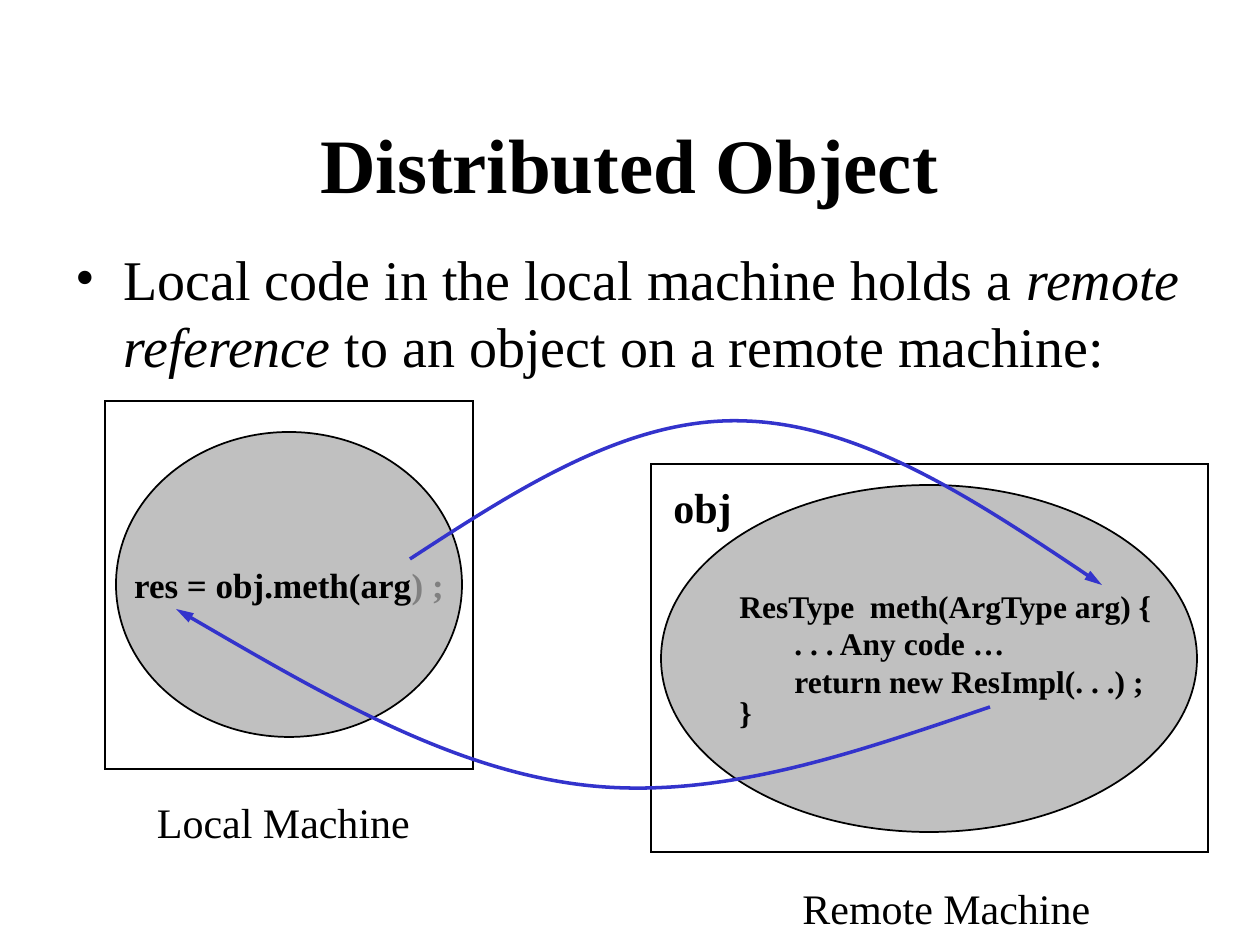
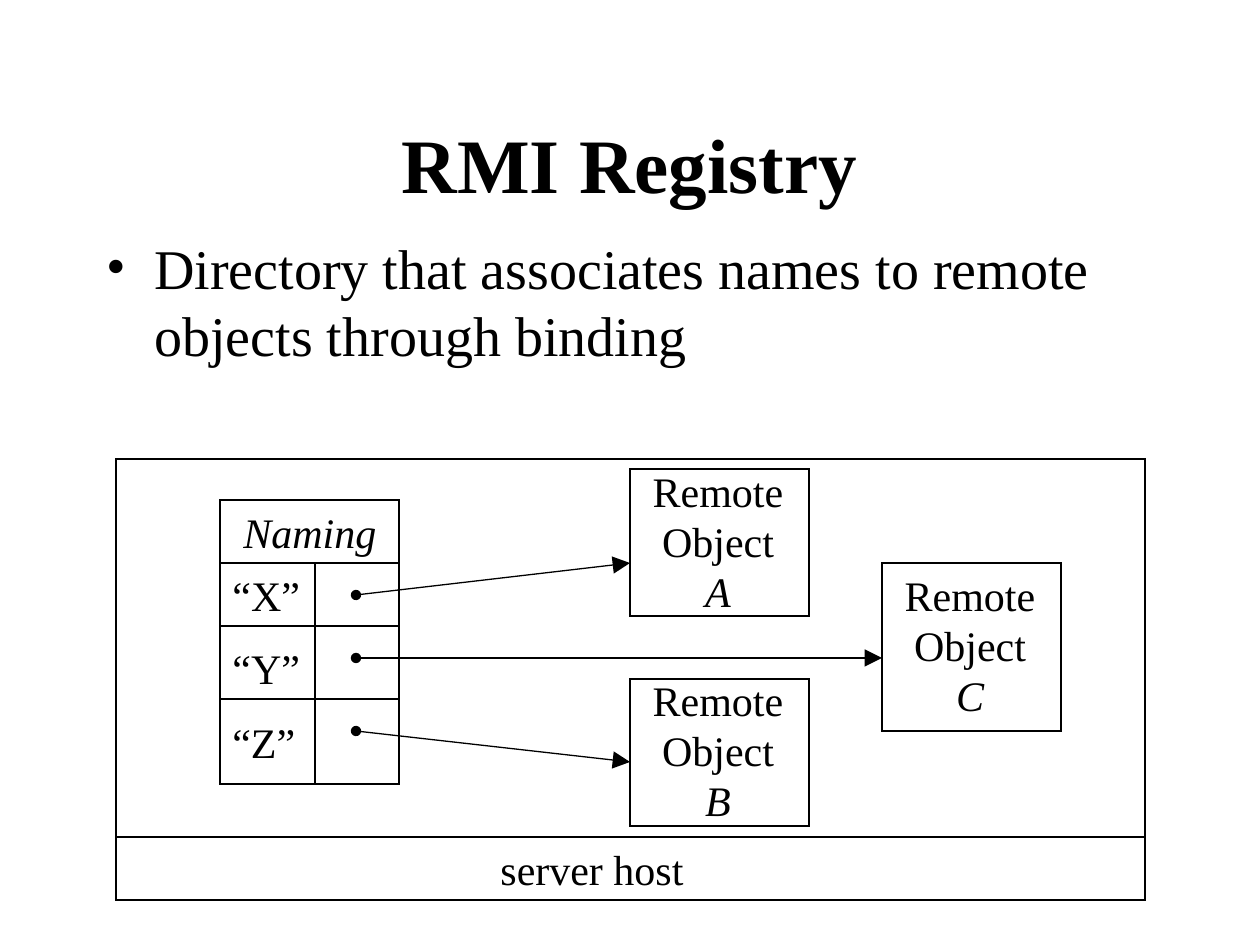
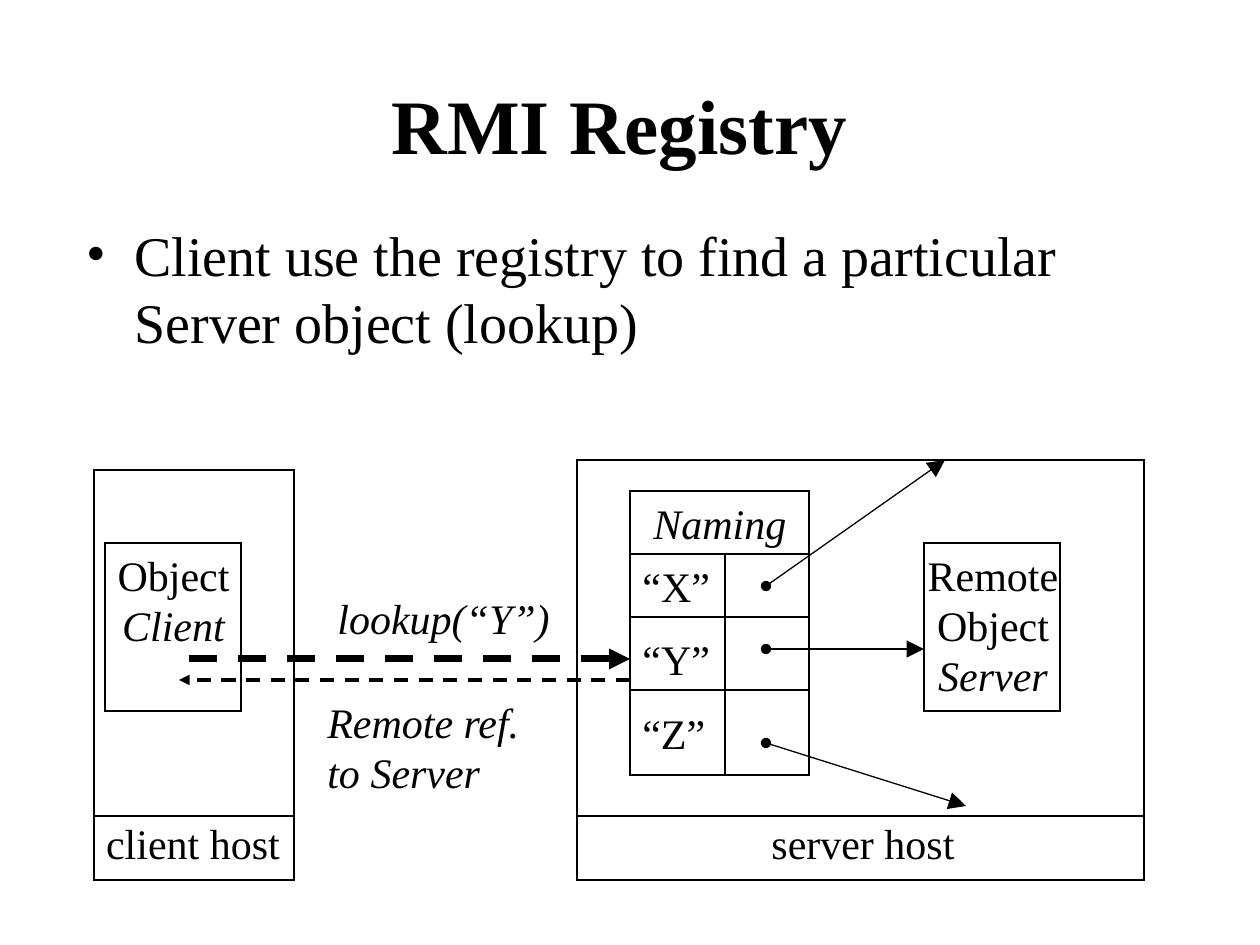
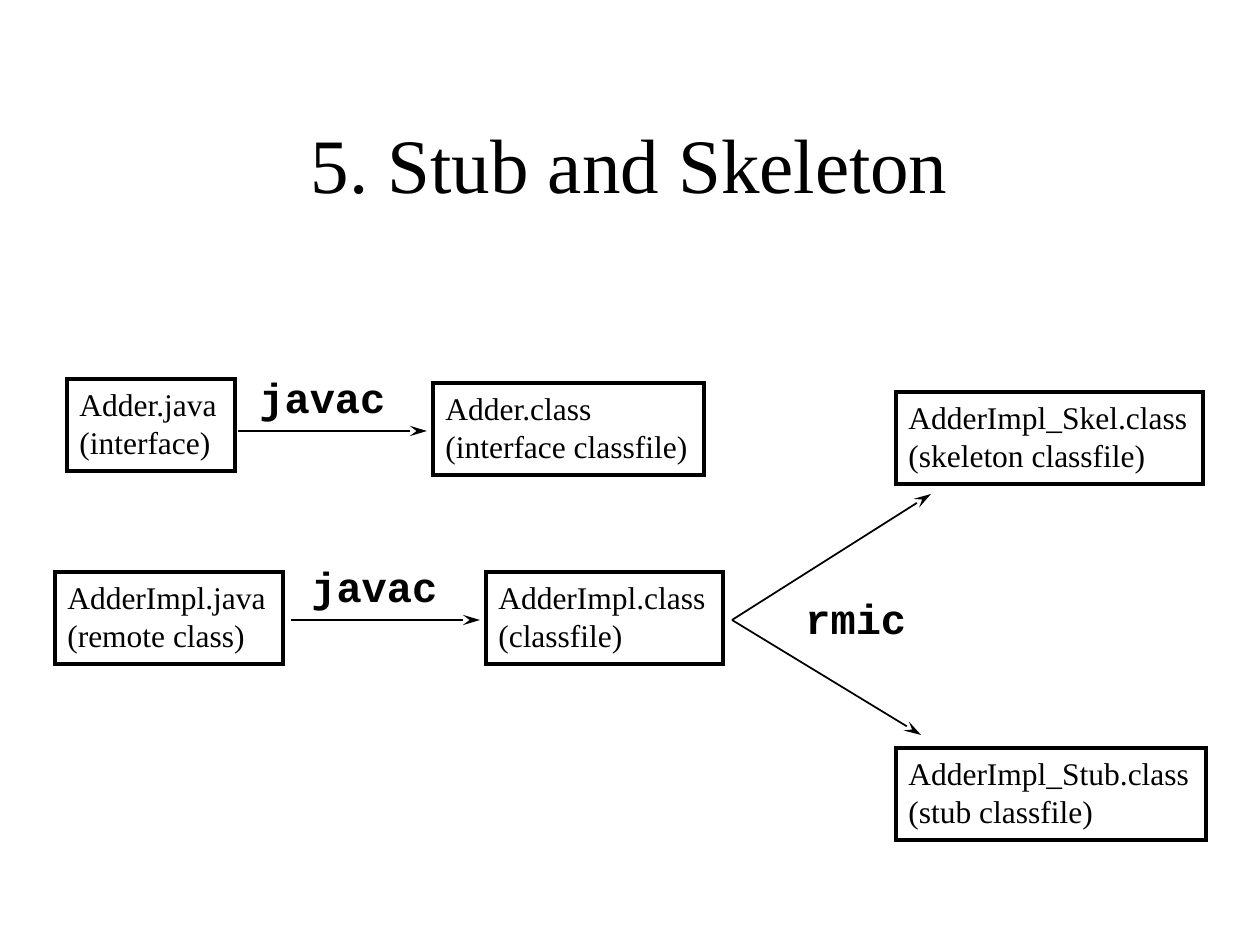
"""Build four slides on remote objects, the RMI registry and stub generation."""
from dataclasses import dataclass, replace
from typing import Any, NamedTuple, Optional

from lxml.etree import SubElement
from pptx import Presentation
from pptx.dml.color import RGBColor
from pptx.enum.dml import MSO_LINE
from pptx.enum.shapes import MSO_CONNECTOR as Link, MSO_SHAPE as Preset
from pptx.enum.text import MSO_ANCHOR as Anchor, MSO_AUTO_SIZE as AutoSize, PP_ALIGN as Align
from pptx.oxml.ns import qn
from pptx.util import Emu, Pt

EMU_PER_PIXEL = 914400 / 126


@dataclass(frozen=True)
class Theme:
    ink: RGBColor = RGBColor(0, 0, 0)
    muted: RGBColor = RGBColor(0x80, 0x80, 0x80)
    machine: RGBColor = RGBColor(0xC0, 0xC0, 0xC0)
    call: RGBColor = RGBColor(0x33, 0x33, 0xCC)
    serif: str = "Times New Roman"
    mono: str = "Courier New"
    title: float = 44
    body: float = 32
    label: float = 24
    call_code: float = 20
    code: float = 18
    hairline: float = 0.75
    thin: float = 1
    thick: float = 2
    heavy: float = 4


THEME = Theme()


class Point(NamedTuple):
    x: int
    y: int


class Rect(NamedTuple):
    left: int
    top: int
    width: int
    height: int


class Span(NamedTuple):
    text: str
    italic: Optional[bool] = None
    color: Optional[RGBColor] = None


class Para(NamedTuple):
    spans: tuple[Span, ...]
    indent: int = 0
    spacing: Optional[float] = None


@dataclass(frozen=True)
class Style:
    size: float = THEME.label
    font: str = THEME.serif
    bold: bool = False
    italic: bool = False
    align: Align = Align.LEFT


class Tip(NamedTuple):
    kind: str
    breadth: str = "med"
    length: str = "med"


class Arrow(NamedTuple):
    start: Point
    end: Point
    width: float = THEME.hairline
    head: Optional[Tip] = None
    tail: Optional[Tip] = None
    dash: Optional[MSO_LINE] = None


class RemoteObject(NamedTuple):
    frame: Rect
    label: Rect
    lines: tuple[str, ...]


class Host(NamedTuple):
    frame: Rect
    band_top: int
    label: Rect
    name: str


class ClassFile(NamedTuple):
    frame: Rect
    name: str
    role: str


TITLE = Style(THEME.title, bold=True, align=Align.CENTER)
LABEL = Style()
CENTERED = Style(align=Align.CENTER)
ITALIC = Style(italic=True)
COMMAND = Style(font=THEME.mono, bold=True)
CODE = Style(THEME.code, bold=True)
CLASS_FILE = Style(THEME.code)
TITLE_RECT = Rect(94, 84, 1071, 158)
DOT = Tip("oval")
TRIANGLE = Tip("triangle")
LONG_TRIANGLE = Tip("triangle", length="lg")
LARGE_TRIANGLE = Tip("triangle", "lg", "lg")
LONG_STEALTH = Tip("stealth", length="lg")


def px(length: float) -> Emu:
    """Turn pixels into EMU."""
    return Emu(round(length * EMU_PER_PIXEL))


def place(values: tuple[int, ...]) -> list[Emu]:
    """Turn a tuple of pixels into EMU."""
    return [px(value) for value in values]


def apply(target: Any, values: dict[str, Any]) -> None:
    """Set each named attribute on the target."""
    for name, value in values.items():
        setattr(target, name, value)


def plain(*lines: str) -> list[Para]:
    """Make one single-span paragraph of each line."""
    return [Para((Span(line),)) for line in lines]


def write(frame: Any, paras: list[Para], style: Style) -> None:
    """Fill a text frame with styled paragraphs."""
    for index, para in enumerate(paras):
        target = frame.add_paragraph() if index else frame.paragraphs[0]
        target.alignment = style.align
        if para.spacing:
            target.line_spacing = para.spacing
        if para.indent:
            target._p.get_or_add_pPr().set("marL", str(px(para.indent)))
        for span in para.spans:
            run = target.add_run()
            run.text = span.text
            italic = style.italic if span.italic is None else span.italic
            apply(run.font, {"name": style.font, "size": Pt(style.size),
                             "bold": style.bold, "italic": italic})
            run.font.color.rgb = span.color or THEME.ink


def add_page(deck: Any, title: str, style: Style = TITLE, rect: Rect = TITLE_RECT) -> Any:
    """Add a title-only page with its title formatted."""
    page = deck.slides.add_slide(deck.slide_layouts[5])
    holder = page.shapes.title
    apply(holder, dict(zip(("left", "top", "width", "height"), place(rect))))
    apply(holder.text_frame, {"vertical_anchor": Anchor.MIDDLE, "word_wrap": True,
                              "auto_size": AutoSize.NONE})
    write(holder.text_frame, plain(title), style)
    return page


def add_bullet(page: Any, rect: Rect, *spans: Span) -> None:
    """Add the bulleted statement under the title."""
    box = page.shapes.add_textbox(*place(rect))
    apply(box.text_frame, {"word_wrap": True, "auto_size": AutoSize.NONE})
    write(box.text_frame, [Para(spans)], Style(THEME.body))
    para = box.text_frame.paragraphs[0]
    apply(para, {"space_before": Pt(THEME.body * 0.2)})
    properties = para._p.get_or_add_pPr()
    properties.set("marL", str(px(48)))
    properties.set("indent", str(px(-48)))
    SubElement(properties, qn("a:buFont")).set("typeface", THEME.serif)
    SubElement(properties, qn("a:buChar")).set("char", "•")


def add_label(page: Any, rect: Rect, paras: list[Para], style: Style = LABEL) -> None:
    """Add an unwrapped text box that fits its text."""
    box = page.shapes.add_textbox(*place(rect))
    apply(box.text_frame, {"word_wrap": False, "auto_size": AutoSize.SHAPE_TO_FIT_TEXT})
    write(box.text_frame, paras, style)


def add_outline(page: Any, rect: Rect, width: float = THEME.hairline,
                preset: Preset = Preset.RECTANGLE, fill: Optional[RGBColor] = None) -> Any:
    """Add a sharp-cornered preset shape, hollow unless a fill is given."""
    shape = page.shapes.add_shape(preset, *place(rect))
    shape.shadow.inherit = False
    if fill is None:
        shape.fill.background()
    else:
        shape.fill.solid()
        shape.fill.fore_color.rgb = fill
    shape.line.color.rgb = THEME.ink
    shape.line.width = Pt(width)
    SubElement(shape.line._get_or_add_ln(), qn("a:miter")).set("lim", "800000")
    return shape


def add_tips(line: Any, head: Optional[Tip], tail: Optional[Tip]) -> None:
    """Put arrowheads on a line format."""
    outline = line._get_or_add_ln()
    for tag, tip in (("a:headEnd", head), ("a:tailEnd", tail)):
        if tip:
            end = SubElement(outline, qn(tag))
            for name, value in zip(("type", "w", "len"), tip):
                end.set(name, value)


def add_arrow(page: Any, arrow: Arrow) -> None:
    """Add a straight connector with its ends and dash."""
    connector = page.shapes.add_connector(Link.STRAIGHT, *place(arrow.start + arrow.end))
    SubElement(connector._element.spPr, qn("a:effectLst"))
    connector.line.color.rgb = THEME.ink
    connector.line.width = Pt(arrow.width)
    if arrow.dash:
        connector.line.dash_style = arrow.dash
    add_tips(connector.line, arrow.head, arrow.tail)


def add_curve(page: Any, points: list[Point]) -> None:
    """Add a curved arrow from a start and triples of Bezier points."""
    start, *rest = [tuple(place(point)) for point in points]
    builder = page.shapes.build_freeform(*start)
    builder.add_line_segments(rest, close=False)
    shape = builder.convert_to_shape()
    shape.shadow.inherit = False
    shape.fill.background()
    shape.line.color.rgb = THEME.call
    shape.line.width = Pt(THEME.thick)
    add_tips(shape.line, None, LONG_TRIANGLE)
    route = next(shape._element.iter(qn("a:path")))
    segments = route.findall(qn("a:lnTo"))
    for index in range(0, len(segments), 3):
        bezier = SubElement(route, qn("a:cubicBezTo"))
        for segment in segments[index:index + 3]:
            bezier.append(segment[0])
            route.remove(segment)


def add_code_ellipse(page: Any, rect: Rect, paras: list[Para], style: Style,
                     margin: Optional[int] = None) -> None:
    """Add a grey ellipse that holds code."""
    ellipse = add_outline(page, rect, THEME.thin, Preset.OVAL, THEME.machine)
    apply(ellipse.text_frame, {"word_wrap": False, "vertical_anchor": Anchor.MIDDLE})
    if margin is not None:
        apply(ellipse.text_frame, {"margin_left": margin, "margin_right": margin})
    write(ellipse.text_frame, paras, style)


def add_host(page: Any, host: Host) -> None:
    """Add a host frame with its name in a band at the foot."""
    left, _, width, _ = host.frame
    add_outline(page, host.frame)
    add_arrow(page, Arrow(Point(left, host.band_top), Point(left + width, host.band_top)))
    add_label(page, host.label, plain(host.name), CENTERED)


def add_object(page: Any, item: RemoteObject) -> None:
    """Add an object box whose last line is its italic name."""
    *kind, name = item.lines
    add_outline(page, item.frame)
    add_label(page, item.label, plain(*kind) + [Para((Span(name, True),))], CENTERED)


def add_registry(page: Any, corner: Point, targets: list[tuple[int, Point]]) -> None:
    """Add the naming table and an arrow from each entry."""
    left, top = corner
    width, height, header, divider = 179, 284, 63, 95
    add_outline(page, Rect(left, top, width, height))
    add_label(page, Rect(left + 11, top, 159, header), plain("Naming"), ITALIC)
    add_arrow(page, Arrow(Point(left + divider, top + header),
                          Point(left + divider, top + height)))
    for offset in (header, 126, 199):
        add_arrow(page, Arrow(Point(left, top + offset), Point(left + width, top + offset)))
    for name, offset, span in (("X", 63, 93), ("Y", 136, 93), ("Z", 210, 88)):
        add_label(page, Rect(left, top + offset, span, 63), plain(f"“{name}”"))
    for offset, target in targets:
        add_arrow(page, Arrow(Point(left + 136, top + offset), target,
                              head=DOT, tail=LARGE_TRIANGLE))


def build_distributed_object(deck: Any) -> None:
    """Build the local and remote machine page."""
    page = add_page(deck, "Distributed Object")
    for frame in (Rect(105, 401, 368, 368), Rect(651, 464, 557, 388)):
        add_outline(page, frame, THEME.thin)
    add_label(page, Rect(126, 790, 315, 63), plain("Local Machine"), CENTERED)
    add_label(page, Rect(769, 876, 355, 63), plain("Remote Machine"), CENTERED)
    call = Para((Span("res = obj.meth(arg"), Span(") ;", color=THEME.muted)))
    add_code_ellipse(page, Rect(116, 432, 346, 305), [call],
                     replace(CODE, size=THEME.call_code, align=Align.CENTER))
    method = [
        Para((Span("ResType  meth(ArgType arg) {"),)),
        Para((Span(". . . Any code …"),), indent=55),
        Para((Span("return new ResImpl(. . .) ;"),), indent=55),
        Para((Span("}"),), spacing=0.8),
    ]
    add_code_ellipse(page, Rect(661, 485, 536, 347), method, CODE, margin=0)
    add_bullet(page, Rect(63, 238, 1155, 146),
               Span("Local code in the local machine holds a "),
               Span("remote reference", True),
               Span(" to an object on a remote machine:"))
    add_label(page, Rect(661, 475, 90, 63), plain("obj"), replace(LABEL, bold=True))
    add_curve(page, [Point(410, 559), Point(519, 488), Point(630, 416), Point(746, 421),
                     Point(861, 425), Point(982, 504), Point(1102, 585)])
    add_curve(page, [Point(990, 707), Point(854, 753), Point(719, 801), Point(583, 785),
                     Point(449, 769), Point(312, 688), Point(176, 609)])


def build_registry_binding(deck: Any) -> None:
    """Build the page on binding names to objects."""
    page = add_page(deck, "RMI Registry")
    add_bullet(page, Rect(94, 227, 1071, 168),
               Span("Directory that associates names to remote objects through binding"))
    add_host(page, Host(Rect(116, 459, 1029, 441), 837, Rect(488, 837, 208, 63), "server host"))
    for name, frame, label_top in (("C", Rect(882, 563, 179, 168), 563),
                                   ("A", Rect(630, 469, 179, 147), 459),
                                   ("B", Rect(630, 679, 179, 147), 668)):
        label = Rect(frame.left + 10, label_top, 156, 164)
        add_object(page, RemoteObject(frame, label, ("Remote", "Object", name)))
    add_registry(page, Point(220, 500), [(95, Point(630, 563)), (158, Point(882, 658)),
                                         (231, Point(630, 762))])


def build_registry_lookup(deck: Any) -> None:
    """Build the page on a client looking up a server."""
    page = add_page(deck, "RMI Registry", rect=Rect(84, 45, 1071, 158))
    add_bullet(page, Rect(74, 214, 1071, 158),
               Span("Client use the registry to find a particular Server object (lookup)"))
    for host in (Host(Rect(94, 470, 200, 410), 816, Rect(84, 811, 218, 63), "client host"),
                 Host(Rect(577, 460, 567, 420), 816, Rect(759, 811, 208, 63), "server host")):
        add_host(page, host)
    for item in (RemoteObject(Rect(105, 543, 136, 168), Rect(105, 543, 137, 113),
                              ("Object", "Client")),
                 RemoteObject(Rect(924, 543, 136, 168), Rect(915, 543, 156, 164),
                              ("Remote", "Object", "Server"))):
        add_object(page, item)
    add_registry(page, Point(630, 491), [(95, Point(945, 460)), (158, Point(924, 649)),
                                         (252, Point(966, 806))])
    for start, end, width in ((Point(189, 659), Point(630, 659), THEME.heavy),
                              (Point(630, 680), Point(179, 680), THEME.thick)):
        add_arrow(page, Arrow(start, end, width, tail=TRIANGLE, dash=MSO_LINE.DASH))
    add_label(page, Rect(325, 586, 238, 63), plain("lookup(“Y”)"), ITALIC)
    add_label(page, Rect(315, 690, 229, 113), plain("Remote ref. ", "to Server"), ITALIC)


def build_stub_and_skeleton(deck: Any) -> None:
    """Build the page on compiling stubs and skeletons."""
    page = add_page(deck, "5. Stub and Skeleton", replace(TITLE, bold=False))
    for item in (
        ClassFile(Rect(67, 379, 168, 92), "Adder.java", "(interface)"),
        ClassFile(Rect(433, 383, 271, 92), "Adder.class", "(interface classfile)"),
        ClassFile(Rect(55, 572, 228, 92), "AdderImpl.java", "(remote class)"),
        ClassFile(Rect(486, 572, 237, 92), "AdderImpl.class", "(classfile)"),
        ClassFile(Rect(896, 392, 307, 92), "AdderImpl_Skel.class", "(skeleton classfile)"),
        ClassFile(Rect(896, 748, 310, 92), "AdderImpl_Stub.class", "(stub classfile)"),
    ):
        box = add_outline(page, item.frame, THEME.thick)
        apply(box.text_frame, {"word_wrap": False, "vertical_anchor": Anchor.TOP,
                               "auto_size": AutoSize.SHAPE_TO_FIT_TEXT})
        write(box.text_frame, plain(item.name, item.role), CLASS_FILE)
    for command, rect in (("javac", Rect(247, 365, 151, 63)),
                          ("javac", Rect(299, 554, 151, 63)),
                          ("rmic", Rect(793, 586, 126, 63))):
        add_label(page, rect, plain(command), COMMAND)
    fork = Point(732, 620)
    for start, end in ((Point(238, 431), Point(427, 431)), (Point(291, 620), Point(480, 620)),
                       (fork, Point(931, 494)), (fork, Point(921, 735))):
        add_arrow(page, Arrow(start, end, THEME.thin, tail=LONG_STEALTH))


def main() -> None:
    """Build and save the deck."""
    deck = Presentation()
    apply(deck, {"slide_width": px(1260), "slide_height": px(945)})
    for build in (build_distributed_object, build_registry_binding,
                  build_registry_lookup, build_stub_and_skeleton):
        build(deck)
    deck.save("out.pptx")


main()
